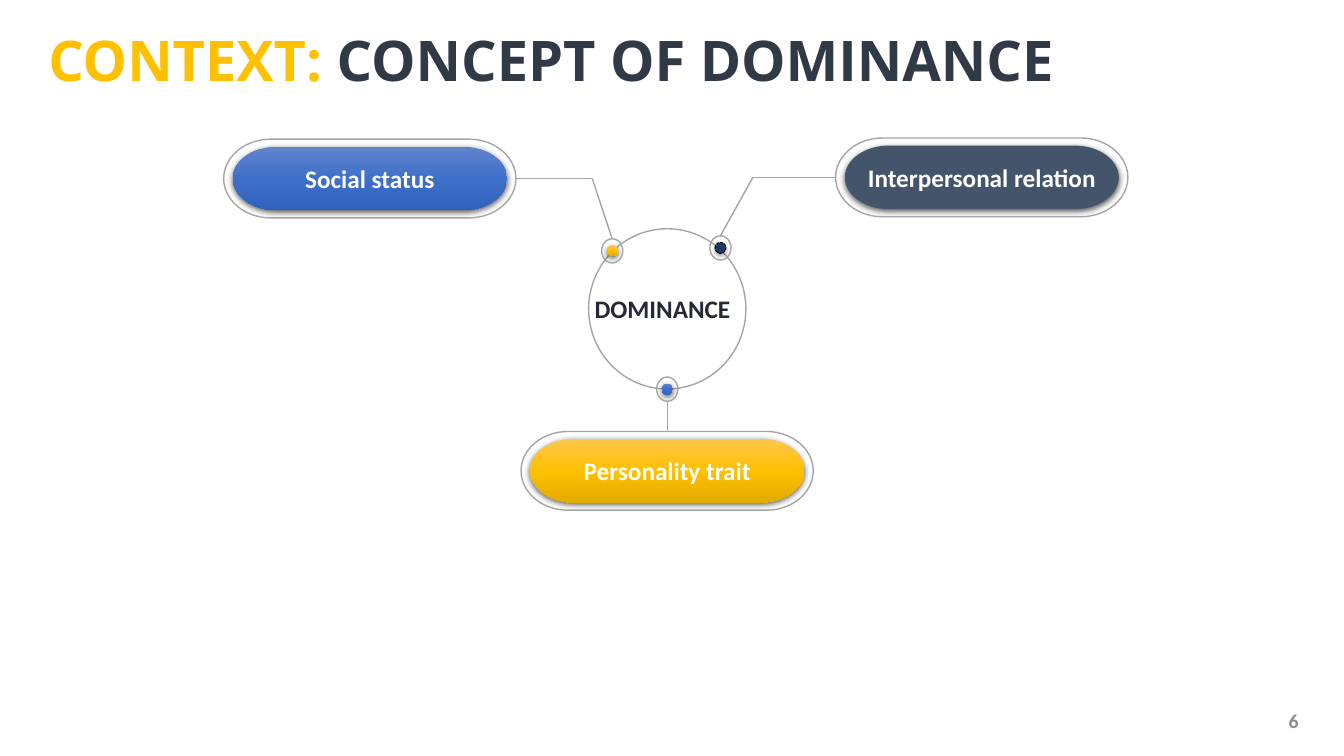
from copy import deepcopy

from lxml.etree import SubElement
from pptx import Presentation
from pptx.dml.color import RGBColor
from pptx.enum.dml import MSO_LINE
from pptx.enum.shapes import MSO_CONNECTOR, MSO_SHAPE
from pptx.enum.text import MSO_ANCHOR, PP_ALIGN
from pptx.oxml.ns import qn
from pptx.util import Pt

COLORS = {
    "gold": "FFC000", "title": "2F3A46", "ink": "222A35", "white": "FFFFFF",
    "line": "A5A5A5", "number": "8C8C8C", "slate": "44546A",
    "navy": "203864", "black": "000000",
}
GOLD_GRADIENT = ("FFC64B", "FFC000", "E3AB00")
BLUE_GRADIENT = ("6183CB", "3E70CA", "3062BB")
PILL, PILL_FRAME = (195.8, 45.4), (208.8, 56.2)
DOT, RING = (7.9, 7.9), (15.1, 17.3)
TOP, LEFT, RIGHT = 0, 1, 3


def rgb(name):
    return RGBColor.from_string(COLORS[name])


def write(shape, runs, size=18, font="Calibri", align=PP_ALIGN.LEFT,
          anchor=MSO_ANCHOR.MIDDLE, wrap=True, inset=7.2, spacing=None):
    """Fill a shape with one bold paragraph of (text, color name) runs."""
    frame = shape.text_frame
    frame.word_wrap = wrap
    frame.vertical_anchor = anchor
    frame.margin_left = frame.margin_right = Pt(inset)
    paragraph = frame.paragraphs[0]
    paragraph.alignment = align
    paragraph.line_spacing = spacing
    for text, color in runs:
        run = paragraph.add_run()
        run.text = text
        run.font.size, run.font.name, run.font.bold = Pt(size), font, True
        run.font.color.rgb = rgb(color)


def paint(shape, fill):
    """Fill with a color name, a three-color vertical gradient, or nothing."""
    if fill is None:
        shape.fill.background()
    elif isinstance(fill, str):
        shape.fill.solid()
        shape.fill.fore_color.rgb = rgb(fill)
    else:
        shape.fill.gradient()
        shape.fill.gradient_angle = 270
        stops = shape._element.spPr.find(".//" + qn("a:gsLst"))
        stops.append(deepcopy(stops[0]))
        for index, stop in enumerate(shape.fill.gradient_stops):
            stop.position = index / 2
            stop.color.rgb = RGBColor.from_string(fill[index])


def cast_shadow(shape, alpha=63, blur=4.5, distance=1.5):
    effects = shape._element.spPr.find(qn("a:effectLst"))
    shadow = SubElement(effects, qn("a:outerShdw"), blurRad=str(Pt(blur)),
                        dist=str(Pt(distance)), dir="5400000", rotWithShape="0")
    color = SubElement(shadow, qn("a:srgbClr"), val=COLORS["black"])
    SubElement(color, qn("a:alpha"), val=str(alpha * 1000))


class Diagram:
    def __init__(self, slide):
        self.slide = slide

    def text(self, box, runs, **style):
        write(self.slide.shapes.add_textbox(*map(Pt, box)), runs, **style)

    def shape(self, kind, box, fill=None, line=None, width=1):
        shape = self.slide.shapes.add_shape(kind, *map(Pt, box))
        shape.shadow.inherit = False
        paint(shape, fill)
        if line:
            shape.line.color.rgb = rgb(line)
            shape.line.width = Pt(width)
        else:
            shape.line.fill.background()
        return shape

    def framed(self, kind, center, inner, outer, fill, line=None, **shadow):
        """Draw a shadowed core inside a thin frame; return both."""
        boxes = [(center[0] - w / 2, center[1] - h / 2, w, h) for w, h in (inner, outer)]
        core = self.shape(kind, boxes[0], fill, line, width=0.75)
        cast_shadow(core, **shadow)
        return core, self.shape(kind, boxes[1], line="line")

    def pill(self, center, label, fill):
        core, frame = self.framed(MSO_SHAPE.FLOWCHART_TERMINATOR, center,
                                  PILL, PILL_FRAME, fill)
        write(core, [(label, "white")], align=PP_ALIGN.CENTER, inset=0)
        return frame

    def node(self, center, fill, **style):
        return self.framed(MSO_SHAPE.OVAL, center, DOT, RING, fill, **style)

    def link(self, start, end, begin=None, finish=None):
        """Draw a line; begin and finish are (shape, side) joints."""
        link = self.slide.shapes.add_connector(
            MSO_CONNECTOR.STRAIGHT, *map(Pt, (*start, *end)))
        link.line.color.rgb = rgb("line")
        link.line.width = Pt(1)
        SubElement(link._element.spPr, qn("a:effectLst"))
        if begin:
            link.begin_connect(*begin)
        if finish:
            link.end_connect(*finish)


def main():
    deck = Presentation()
    deck.slide_width, deck.slide_height = Pt(960), Pt(540)
    diagram = Diagram(deck.slides.add_slide(deck.slide_layouts[6]))

    diagram.text((27.4, 13.7, 907.2, 62.6),
                 [("CONTEXT: ", "gold"), ("CONCEPT OF DOMINANCE", "title")],
                 size=40, font="Open Sans", spacing=0.9)

    diagram.text((417.6, 205.9, 112.3, 28.8), [("DOMINANCE", "ink")],
                 anchor=MSO_ANCHOR.TOP, wrap=False)
    diagram.shape(MSO_SHAPE.OVAL, (420.5, 163.4, 112.3, 114.5), line="line")

    status_at, relation_at, trait_at = (264.2, 127.5), (701.3, 126.7), (476.6, 336.3)
    status = diagram.pill(status_at, "Social status", BLUE_GRADIENT)
    relation = diagram.pill(relation_at, "Interpersonal relation", "slate")
    trait = diagram.pill(trait_at, "Personality trait", GOLD_GRADIENT)

    status_node_at, relation_node_at, trait_node_at = (437.3, 179.2), (514.6, 177.1), (476.6, 278)
    _, status_ring = diagram.node(status_node_at, GOLD_GRADIENT)
    relation_dot, relation_ring = diagram.node(
        relation_node_at, "navy", line="black", alpha=35, blur=3.1, distance=1.8)
    relation_dot.line.dash_style = MSO_LINE.SQUARE_DOT
    diagram.node(trait_node_at, BLUE_GRADIENT)

    sides = [
        (status, RIGHT, status_at, status_ring, status_node_at, 423),
        (relation, LEFT, relation_at, relation_ring, relation_node_at, 537.8),
    ]
    for pill, side, pill_at, ring, ring_at, elbow_x in sides:
        elbow = (elbow_x, pill_at[1])
        diagram.link(pill_at, elbow, begin=(pill, side))
        diagram.link(ring_at, elbow, begin=(ring, TOP))
    ring_bottom = (trait_node_at[0], trait_node_at[1] + RING[1] / 2)
    diagram.link(ring_bottom, trait_at, finish=(trait, TOP))

    diagram.text((718.6, 500.4, 216, 28.8), [("6", "number")],
                 size=14, align=PP_ALIGN.RIGHT)
    deck.save("out.pptx")


if __name__ == "__main__":
    main()
